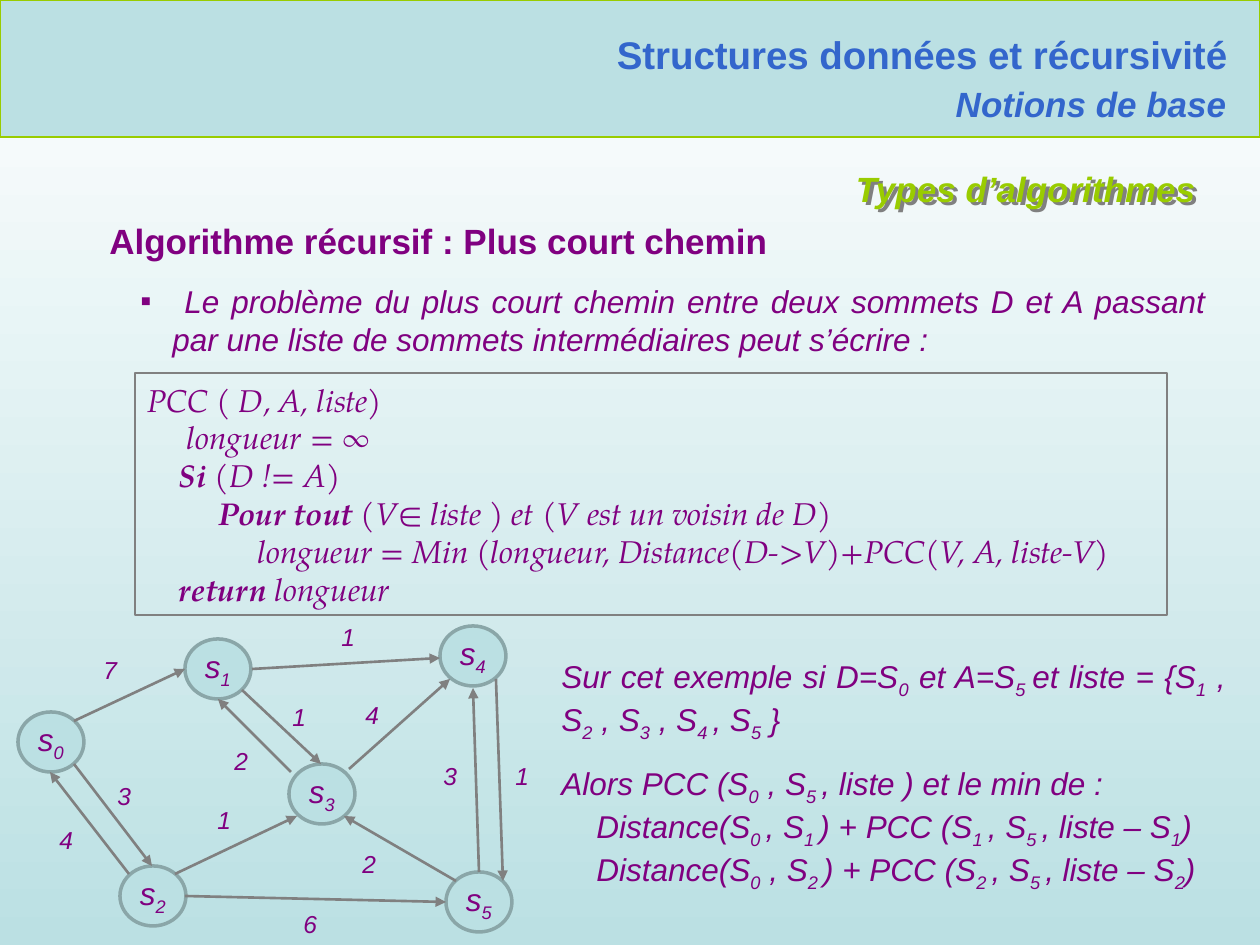
from lxml import etree
from pptx import Presentation
from pptx import util as u
from pptx.dml.color import RGBColor
from pptx.enum import shapes, text
from pptx.oxml.ns import qn

COLORS = {
    "white": "FFFFFF", "pale": "BBE0E3", "green": "99CC00", "blue": "3366CC",
    "purple": "800080", "grey": "808080", "rim": "8AA6A8", "black": "000000",
}
ALIGN = text.PP_ALIGN


def rgb(name):
    return RGBColor.from_string(COLORS[name])


class Page:
    SCALE = 914400 / 126  # EMU in one px
    FONT = "Arial"
    CODE_FONT = "TeX Gyre Pagella"

    def __init__(self, deck):
        self.slide = deck.slides.add_slide(deck.slide_layouts[6])
        self.shapes = self.slide.shapes

    @classmethod
    def emu(cls, *lengths):
        return [u.Emu(round(length * cls.SCALE)) for length in lengths]

    def background(self, top, bottom):
        fill = self.slide.background.fill
        fill.gradient()
        fill.gradient_angle = 270
        for stop, color, place in zip(fill.gradient_stops, (top, bottom), (0, 1)):
            stop.color.rgb = rgb(color)
            stop.position = place

    def shape(self, kind, at, fill, line, width):
        item = self.shapes.add_shape(kind, *self.emu(*at))
        item.shadow.inherit = False
        if fill:
            item.fill.solid()
            item.fill.fore_color.rgb = rgb(fill)
        else:
            item.fill.background()
        item.line.color.rgb = rgb(line)
        item.line.width = u.Pt(width)
        return item

    def line(self, start, end, color, width, arrow=False):
        item = self.shapes.add_connector(
            shapes.MSO_CONNECTOR.STRAIGHT, *self.emu(*start, *end))
        item.line.color.rgb = rgb(color)
        item.line.width = u.Pt(width)
        props = item._element.spPr
        if arrow:
            etree.SubElement(props.find(qn("a:ln")), qn("a:tailEnd"), type="triangle")
        etree.SubElement(props, qn("a:effectLst"))

    def box(self, at, wrap=True):
        frame = self.shapes.add_textbox(*self.emu(*at)).text_frame
        frame.word_wrap = wrap
        frame.auto_size = text.MSO_AUTO_SIZE.SHAPE_TO_FIT_TEXT
        return frame

    def style(self, span, size, color="purple", bold=False, italic=True, font=None):
        span.font.size = u.Pt(size)
        span.font.name = font or self.FONT
        span.font.bold = bold
        span.font.italic = italic
        span.font.color.rgb = rgb(color)

    def fill_para(self, para, words, size, align=ALIGN.LEFT, after=0, marked="sub", **look):
        """Every second piece between bars is a subscript or bold."""
        para.alignment = align
        para.space_after = u.Pt(after)
        for number, piece in enumerate(words.split("|")):
            if not piece:
                continue
            span = para.add_run()
            span.text = piece
            self.style(span, size, **look)
            if number % 2 and marked == "sub":
                span.font._element.set("baseline", "-25000")
            elif number % 2:
                span.font.bold = True

    def indent(self, para, margin, first=0, bullet=None):
        props = para._p.get_or_add_pPr()
        left, hang = self.emu(margin, first)
        props.set("marL", str(left))
        props.set("indent", str(hang))
        if bullet:
            etree.SubElement(props, qn("a:buFont"), typeface=self.FONT)
            etree.SubElement(props, qn("a:buChar"), char=bullet)

    def heading(self, at, words, size, color, italic, wrap=False):
        frame = self.box(at, wrap)
        self.fill_para(frame.paragraphs[0], words, size, ALIGN.RIGHT,
                       color=color, bold=True, italic=italic)
        return frame

    def shadow(self, color):
        effects = etree.Element(qn("a:effectLst"))
        outer = etree.SubElement(effects, qn("a:outerShdw"), dist="35921",
                                 dir="2700000", algn="ctr", rotWithShape="0")
        etree.SubElement(outer, qn("a:srgbClr"), val=COLORS[color])
        return effects

    def node(self, left, top, words):
        item = self.shape(shapes.MSO_SHAPE.OVAL, (left, top, 66, 60), "pale", "rim", 2)
        frame = item.text_frame
        frame.word_wrap = False
        frame.margin_left = frame.margin_right = frame.margin_top = frame.margin_bottom = 0
        frame.vertical_anchor = text.MSO_ANCHOR.MIDDLE
        self.fill_para(frame.paragraphs[0], words, 18, ALIGN.CENTER)

    def label(self, left, top, words):
        frame = self.box((left, top, 39, 43), wrap=False)
        self.fill_para(frame.paragraphs[0], words, 14)

    def code(self, at, lines):
        frame = self.shape(shapes.MSO_SHAPE.RECTANGLE, at, None, "grey", 1.25).text_frame
        frame.word_wrap = True
        frame.vertical_anchor = text.MSO_ANCHOR.MIDDLE
        for number, words in enumerate(lines):
            para = frame.add_paragraph() if number else frame.paragraphs[0]
            self.fill_para(para, words, 18, marked="bold", font=self.CODE_FONT)


NODES = [(18, 712), (185, 639), (120, 866), (289, 764), (440, 626), (446, 872)]

# start, end, weight, corner of the weight label
EDGES = [
    ((74, 721), (185, 669), "7", (91, 649)),
    ((252, 669), (440, 658), "1", (329, 616)),
    ((496, 679), (503, 881), "1", (503, 755)),
    ((479, 872), (473, 688), "3", (431, 755)),
    ((349, 769), (450, 679), "4", (353, 694)),
    ((291, 772), (218, 699), "2", (222, 740)),
    ((242, 690), (321, 764), "1", (280, 696)),
    ((129, 874), (50, 772), "4", (47, 819)),
    ((74, 764), (152, 866), "3", (105, 775)),
    ((175, 874), (297, 816), "1", (205, 799)),
    ((185, 896), (446, 902), "6", (291, 903)),
    ((456, 881), (344, 816), "2", (350, 843)),
]

CODE = [
    "PCC ( D, A, liste)",
    "     longueur = ∞",
    "|    Si| (D != A)",
    "|         Pour tout |(V∈ liste ) et (V est un voisin de D)",
    "              longueur = Min (longueur, Distance(D->V)+PCC(V, A, liste-V)",
    "    |return| longueur",
]

# words, left margin, space after
EXAMPLE = [
    ("Sur cet exemple si D=S|0| et A=S|5 |et liste = {S|1| , S|2| , S|3| , S|4 |, S|5| }", 63, 12),
    ("Alors PCC (S|0| , S|5 |, liste ) et le min de :", 63, 0),
    ("Distance(S|0 |, S|1 |) + PCC (S|1 |, S|5 |, liste – S|1|)", 98, 0),
    ("Distance(S|0| , S|2 |) + PCC (S|2 |, S|5 |, liste – S|2|)", 98, 0),
]


def main():
    deck = Presentation()
    deck.slide_width, deck.slide_height = Page.emu(1260, 945)
    page = Page(deck)
    page.background("white", "pale")

    # Title band
    page.shape(shapes.MSO_SHAPE.RECTANGLE, (0, 0, 1260, 137), "pale", "green", 0.75)
    title = page.heading((596, 25, 644, 59), "Structures données et récursivité", 22, "blue", False)
    fill = title.paragraphs[0].runs[0].font._element.find(qn("a:solidFill"))
    fill.addnext(page.shadow("black"))
    page.heading((940, 76, 299, 55), "Notions de base", 20, "blue", True)
    page.line((43, 137), (1230, 137), "green", 0.75)

    # Section heading
    section = page.heading((679, 161, 529, 55), "Types d’algorithmes", 20, "green", True, wrap=True)
    section._element.getparent().spPr.append(page.shadow("grey"))

    # Problem statement
    frame = page.box((97, 213, 1121, 152))
    page.fill_para(frame.paragraphs[0], "Algorithme récursif : Plus court chemin", 20,
                   ALIGN.JUSTIFY, 12, bold=True, italic=False)
    para = frame.add_paragraph()
    page.fill_para(para, " Le problème du plus court chemin entre deux sommets D et A passant "
                   "par une liste de sommets intermédiaires peut s’écrire :", 18, ALIGN.JUSTIFY, 12)
    page.indent(para, 63, -32, "▪")

    # Weighted graph
    for number, (left, top) in enumerate(NODES):
        page.node(left, top, f"s|{number}|")
    for start, end, weight, corner in EDGES:
        page.line(start, end, "grey", 1.5, arrow=True)
        page.label(*corner, weight)

    # Algorithm
    page.code((135, 373, 1032, 242), CODE)

    # Worked example
    frame = page.box((486, 651, 752, 224))
    for number, (words, margin, after) in enumerate(EXAMPLE):
        para = frame.add_paragraph() if number else frame.paragraphs[0]
        page.fill_para(para, words, 18, ALIGN.JUSTIFY, after)
        page.indent(para, margin)

    deck.save("out.pptx")


if __name__ == "__main__":
    main()
